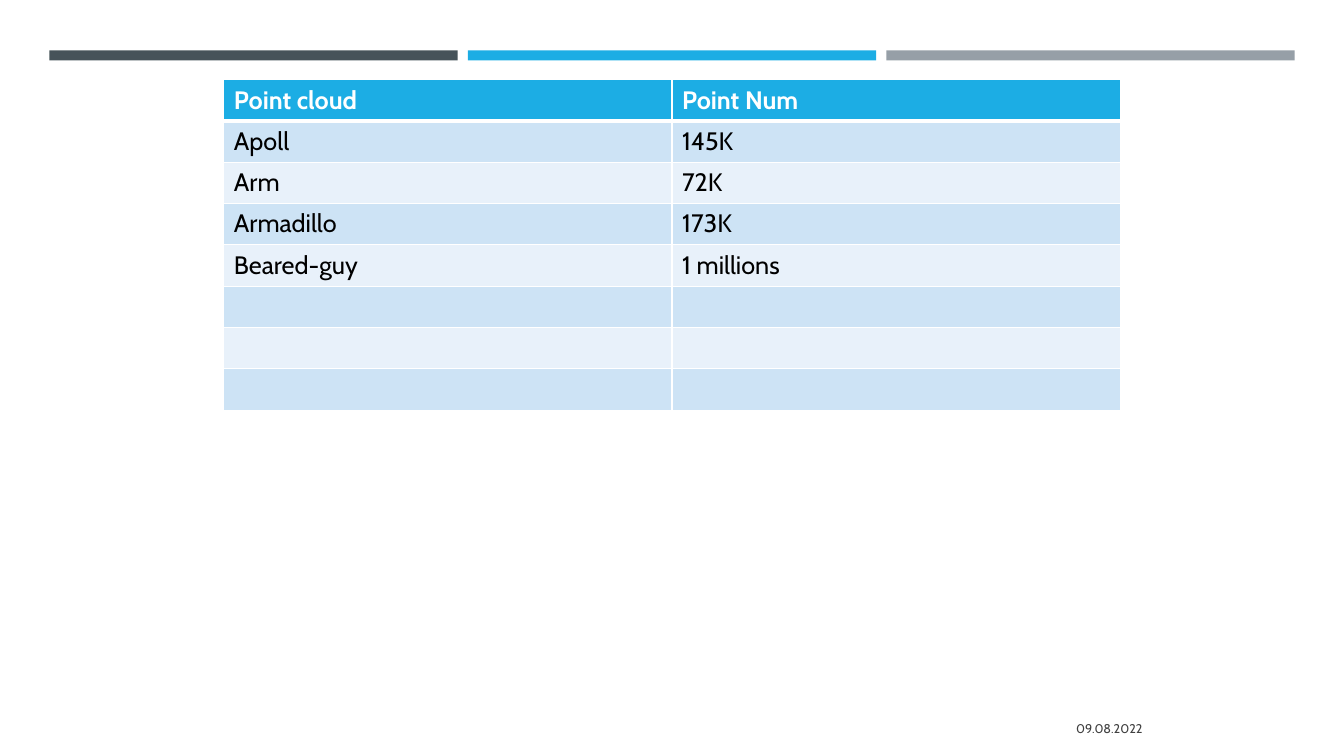
import pptx
import pptx.util
import pptx.dml.color
import pptx.enum.shapes
import pptx.enum.text
import pptx.oxml
import pptx.oxml.ns

Inches = pptx.util.Inches


def color(code):
    return pptx.dml.color.RGBColor.from_string(code)


def write(para, text, style):
    """Add a run in Cabin, with the given font values and colour."""
    run = para.add_run()
    run.text = text
    run.font.name = "Cabin"
    for name, value in style.items():
        if name == "color":
            run.font.color.rgb = color(value)
        else:
            setattr(run.font, name, value)


deck = pptx.Presentation()
deck.slide_width = Inches(13.33)
deck.slide_height = Inches(7.5)
slide = deck.slides.add_slide(deck.slide_layouts[6])

# Bars across the top
for i, fill in enumerate(["465359", "1CADE4", "969FA7"]):
    bar = slide.shapes.add_shape(
        pptx.enum.shapes.MSO_SHAPE.RECTANGLE,
        Inches(0.49 + 4.15 * i), Inches(0.5), Inches(4.05), Inches(0.1))
    bar.shadow.inherit = False
    bar.fill.solid()
    bar.fill.fore_color.rgb = color(fill)
    bar.line.fill.background()

# Date
date = slide.shapes.add_textbox(
    Inches(8.32), Inches(7.03), Inches(3.11), Inches(0.4)).text_frame
date.word_wrap = True
date.vertical_anchor = pptx.enum.text.MSO_ANCHOR.MIDDLE
date.paragraphs[0].alignment = pptx.enum.text.PP_ALIGN.RIGHT
write(date.paragraphs[0], "09.08.2022",
      {"size": pptx.util.Pt(9), "color": "404040"})

# Table of point clouds
rows = [
    ("Point cloud", "Point Num"),
    ("Apoll", "145K"),
    ("Arm", "72K"),
    ("Armadillo", "173K"),
    ("Beared-guy", "1 millions"),
    ("", ""),
    ("", ""),
    ("", ""),
]
head = {"size": pptx.util.Pt(18), "bold": True, "color": "FFFFFF"}
body = {"size": pptx.util.Pt(18), "bold": False, "color": "000000"}
table = slide.shapes.add_table(
    len(rows), 2, Inches(2.22), Inches(0.79),
    Inches(8.89), Inches(0.41 * len(rows))).table

for r, row in enumerate(rows):
    table.rows[r].height = Inches(0.41)
    if r == 0:
        fill, style = "1CADE4", head
    else:
        fill, style = ("CDE3F5" if r % 2 else "E8F1FA"), body
    for c, text in enumerate(row):
        cell = table.cell(r, c)
        props = cell._tc.get_or_add_tcPr()
        for side in "LRTB":
            thick = (r, side) in [(0, "B"), (1, "T")]
            width = pptx.util.Pt(3 if thick else 1)
            props.append(pptx.oxml.parse_xml(
                f'<a:ln{side} {pptx.oxml.ns.nsdecls("a")} w="{width}">'
                '<a:solidFill><a:srgbClr val="FFFFFF"/></a:solidFill>'
                f'</a:ln{side}>'))
        cell.fill.solid()
        cell.fill.fore_color.rgb = color(fill)
        if text:
            write(cell.text_frame.paragraphs[0], text, style)

deck.save("out.pptx")
